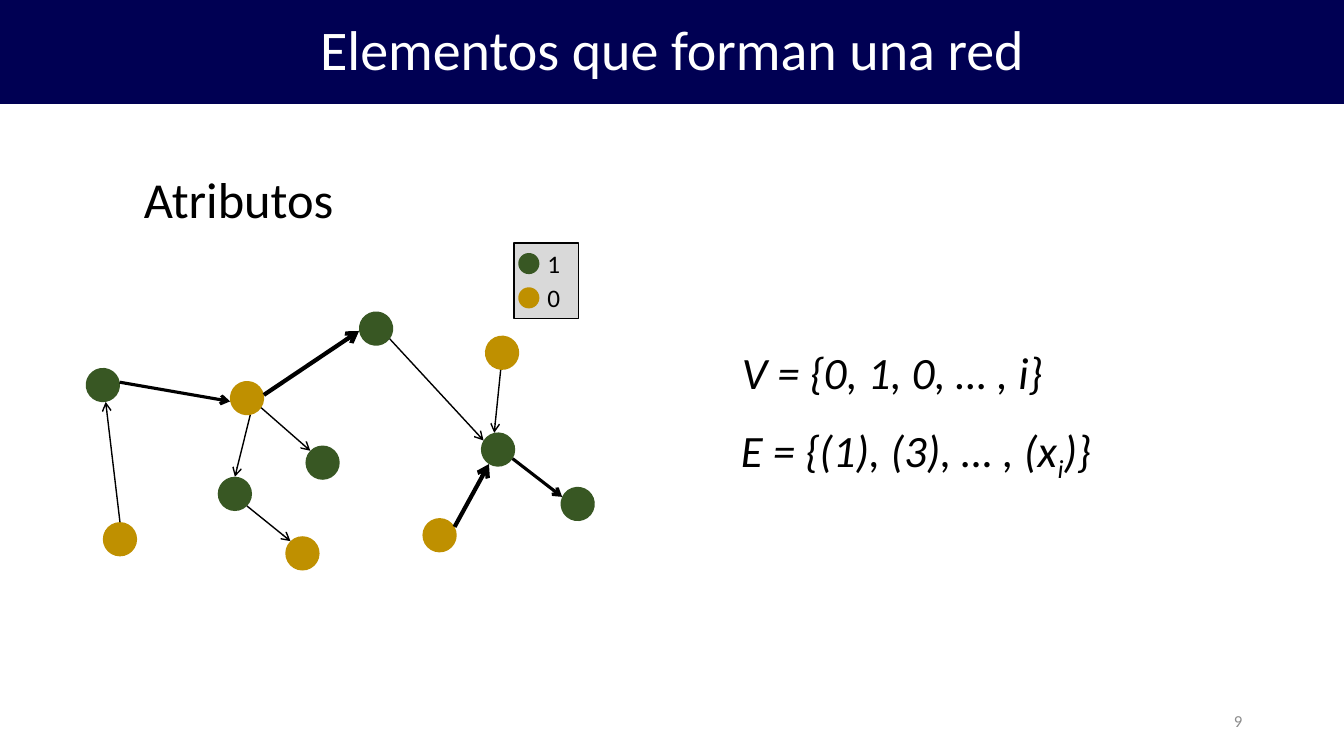
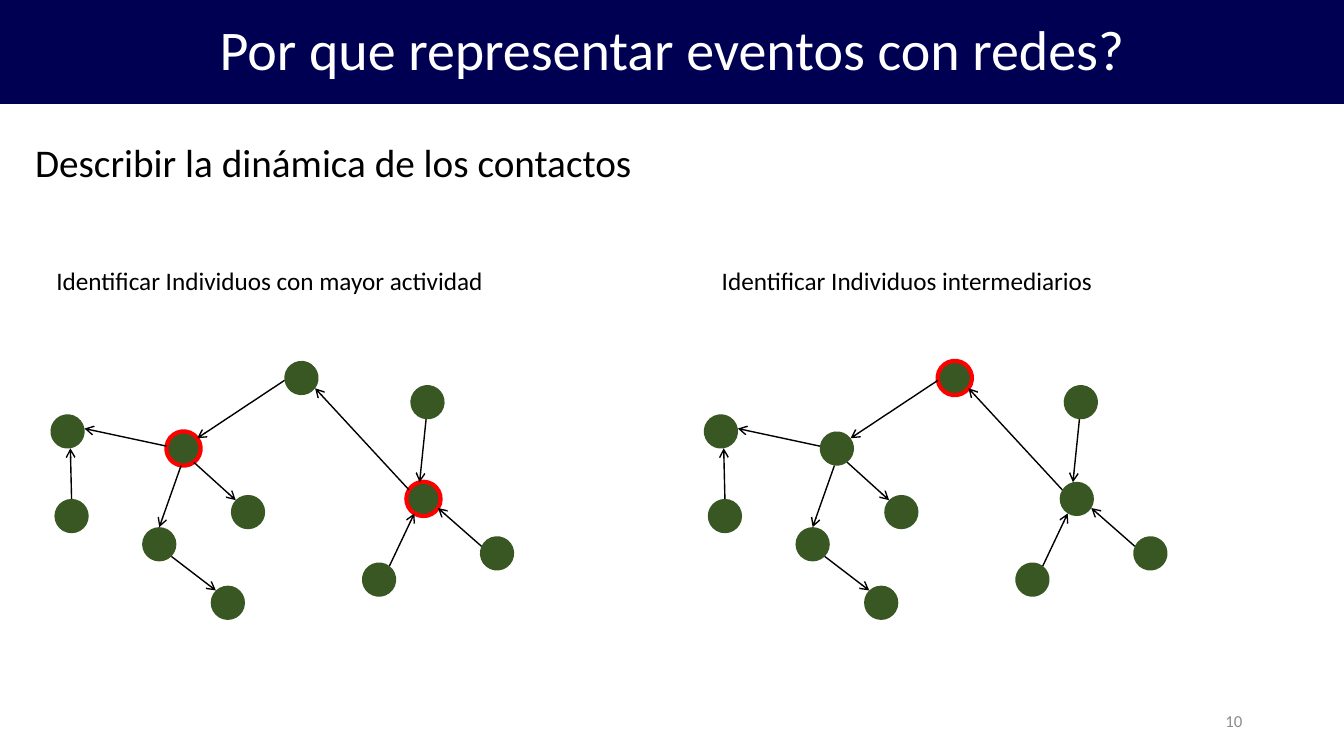
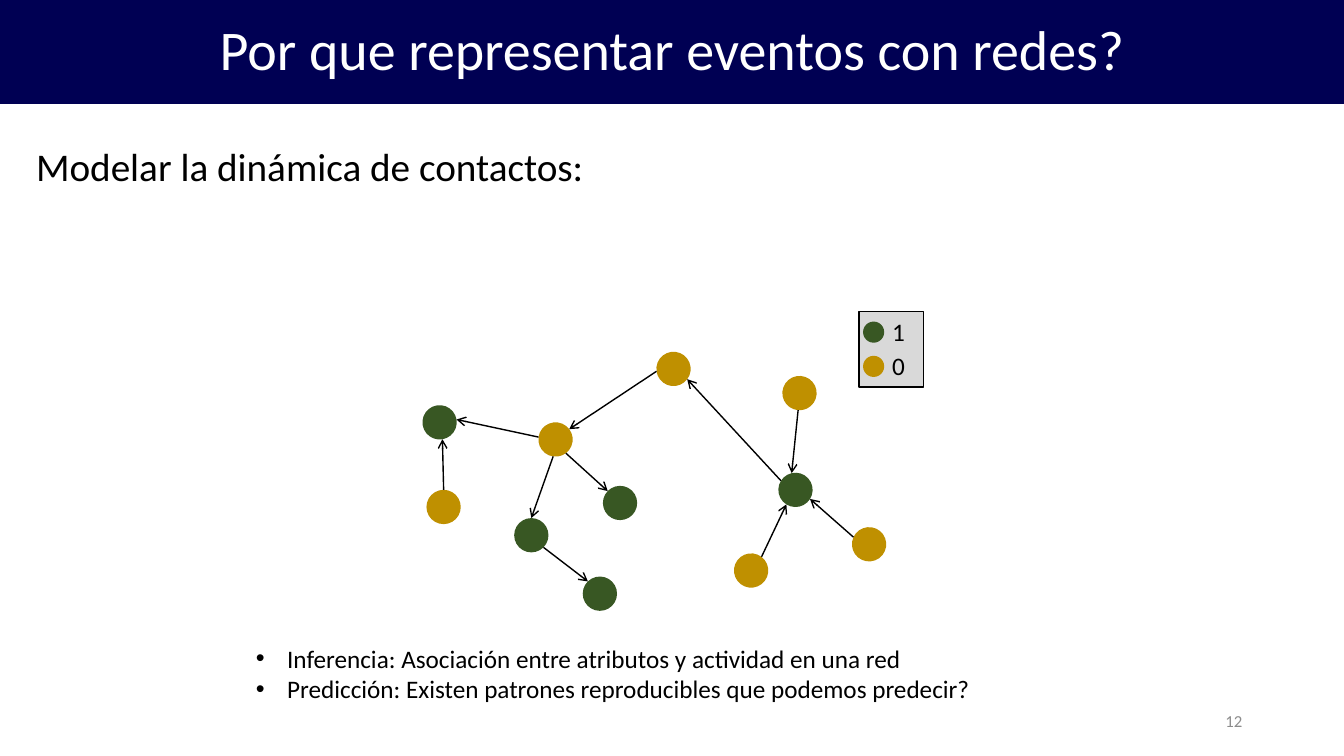
from math import cos, radians, sin

from lxml import etree
from pptx import Presentation
from pptx.dml.color import RGBColor
from pptx.enum.shapes import MSO_CONNECTOR, MSO_SHAPE
from pptx.enum.text import MSO_ANCHOR, MSO_AUTO_SIZE, PP_ALIGN
from pptx.oxml.ns import qn
from pptx.util import Inches, Pt

OVAL, RECT = MSO_SHAPE.OVAL, MSO_SHAPE.RECTANGLE
STRAIGHT = MSO_CONNECTOR.STRAIGHT
TOP, MIDDLE = MSO_ANCHOR.TOP, MSO_ANCHOR.MIDDLE
LEFT, CENTER, RIGHT = PP_ALIGN.LEFT, PP_ALIGN.CENTER, PP_ALIGN.RIGHT
NO_FIT = MSO_AUTO_SIZE.NONE

FONT = "Calibri"
COLORS = {
    "band": "000053", "white": "FFFFFF", "black": "000000", "number": "8C8C8C",
    "green": "385723", "gold": "BF9000", "ring": "FF0000", "legend": "D9D9D9",
}
NODE = 0.34
TITLE_ONLY = 5

# Node: left, top (inches from the network's corner), rotation
ATTRIBUTE_NODES = {
    "west": (0, 0.56, 350.5), "hub": (1.43, 0.69, 34.1),
    "low": (1.31, 1.64, 0), "lowest": (1.98, 2.23, 315.8),
    "mid": (2.18, 1.33, 314.1), "bridge": (2.71, 0, 262),
    "southwest": (0.17, 2.09, 0), "south": (3.34, 2.05, 330.8),
    "east_hub": (3.92, 1.2, 347.1), "north": (3.96, 0.24, 4.7),
    "east": (4.71, 1.74, 24.5),
}
CONTACT_NODES = {
    "west": (0, 0.53, 350.5), "hub": (1.15, 0.7, 53),
    "low": (0.91, 1.65, 0), "lowest": (1.59, 2.23, 315.8),
    "mid": (1.79, 1.33, 314.1), "bridge": (2.32, 0, 262),
    "southwest": (0.04, 1.37, 0), "south": (3.09, 2, 307.2),
    "east_hub": (3.53, 1.2, 347.1), "north": (3.57, 0.24, 4.7),
    "east": (4.26, 1.74, 24.5),
}
# Edge: source, its site, target, its site, line width.
# Sites are numbered 0 to 7, counterclockwise from the top of the oval.
SHARED_EDGES = [
    ("southwest", 0, "west", 4, 1), ("hub", 5, "low", 0, 1),
    ("hub", 6, "mid", 0, 1), ("low", 5, "lowest", 0, 1),
    ("north", 4, "east_hub", 0, 1),
]
ATTRIBUTE_EDGES = SHARED_EDGES + [
    ("west", 6, "hub", 3, 2.25), ("hub", 7, "bridge", 0, 3),
    ("bridge", 3, "east_hub", 1, 1), ("south", 6, "east_hub", 3, 3),
    ("east_hub", 5, "east", 2, 2.25),
]
CONTACT_EDGES = SHARED_EDGES + [
    ("hub", 3, "west", 6, 1), ("bridge", 0, "hub", 0, 1),
    ("east_hub", 1, "bridge", 3, 1), ("south", 6, "east_hub", 3, 1),
    ("east", 2, "east_hub", 5, 1),
]


def rgb(name):
    return RGBColor.from_string(COLORS[name])


def add_bullet(p):
    pPr = p._p.get_or_add_pPr()
    pPr.set("marL", str(Inches(0.31)))
    pPr.set("indent", str(-Inches(0.31)))
    etree.SubElement(pPr, qn("a:buFont")).set("typeface", "Arial")
    etree.SubElement(pPr, qn("a:buChar")).set("char", "•")


def write(tf, *paragraphs, size=18, color="black", italic=False, align=LEFT,
          anchor=TOP, wrap=False, bullet=False, spacing=None):
    """Fill a text frame; in a tuple of runs every second run is a subscript."""
    tf.word_wrap, tf.vertical_anchor, tf.auto_size = wrap, anchor, NO_FIT
    for i, runs in enumerate(paragraphs):
        p = tf.add_paragraph() if i else tf.paragraphs[0]
        p.alignment = align
        if spacing:
            p.line_spacing = spacing
        if bullet:
            add_bullet(p)
        for j, text in enumerate([runs] if isinstance(runs, str) else runs):
            r = p.add_run()
            r.text = text
            r.font.name, r.font.size, r.font.italic = FONT, Pt(size), italic
            r.font.color.rgb = rgb(color)
            if j % 2:
                r._r.get_or_add_rPr().set("baseline", "-25000")


def add_text(shapes, box, *paragraphs, **fmt):
    sp = shapes.add_textbox(*map(Inches, box))
    write(sp.text_frame, *paragraphs, **fmt)


def add_figure(shapes, kind, box, fill, line=None, width=1):
    sp = shapes.add_shape(kind, *map(Inches, box))
    sp.shadow.inherit = False
    sp.fill.solid()
    sp.fill.fore_color.rgb = rgb(fill)
    if line:
        sp.line.color.rgb = rgb(line)
        sp.line.width = Pt(width)
    else:
        sp.line.fill.background()
    return sp


def add_arrow(shapes, start, end, width):
    cxn = shapes.add_connector(STRAIGHT, *map(Inches, (*start, *end)))
    cxn.line.color.rgb = rgb("black")
    cxn.line.width = Pt(width)
    etree.SubElement(cxn.line._get_or_add_ln(), qn("a:tailEnd")).set("type", "arrow")
    etree.SubElement(cxn._element.spPr, qn("a:effectLst"))


def site_point(node, site):
    """Position of a connection site on a rotated node."""
    left, top, rotation = node
    angle = radians(rotation - 90 - 45 * site)
    radius = NODE / 2
    return left + radius * (1 + cos(angle)), top + radius * (1 + sin(angle))


def add_network(slide, x, y, nodes, edges, gold=(), ringed=()):
    placed = {name: (x + dx, y + dy, rot) for name, (dx, dy, rot) in nodes.items()}
    for name, (left, top, rotation) in placed.items():
        sp = add_figure(slide.shapes, OVAL, (left, top, NODE, NODE),
                        "gold" if name in gold else "green",
                        line="ring" if name in ringed else None, width=3)
        sp.rotation = rotation
    for source, source_site, target, target_site, width in edges:
        add_arrow(slide.shapes, site_point(placed[source], source_site),
                  site_point(placed[target], target_site), width)


def add_legend(slide, x, y):
    shapes = slide.shapes.add_group_shape().shapes
    add_figure(shapes, RECT, (x, y, 0.64, 0.75), "legend", line="black")
    for i, (label, color) in enumerate([("1", "green"), ("0", "gold")]):
        row = y + 0.34 * i
        add_figure(shapes, OVAL, (x + 0.04, row + 0.1, 0.21, 0.21), color)
        add_text(shapes, (x + 0.23, row, 0.33, 0.4), label)


def add_slide(prs, title, number):
    slide = prs.slides.add_slide(prs.slide_layouts[TITLE_ONLY])
    band = slide.shapes.title
    band.left, band.top = 0, 0
    band.width, band.height = prs.slide_width, Inches(1.03)
    band.fill.solid()
    band.fill.fore_color.rgb = rgb("band")
    write(band.text_frame, title, size=40, color="white", align=CENTER,
          anchor=MIDDLE, wrap=True, spacing=0.9)
    add_text(slide.shapes, (9.42, 6.95, 3, 0.4), str(number), size=12,
             color="number", align=RIGHT, anchor=MIDDLE, wrap=True)
    return slide


def attributes_slide(prs):
    slide = add_slide(prs, "Elementos que forman una red", 9)
    add_text(slide.shapes, (1.33, 1.62, 2.1, 0.71), "Atributos", size=36)
    add_network(slide, 0.85, 3.09, ATTRIBUTE_NODES, ATTRIBUTE_EDGES,
                gold=("hub", "lowest", "southwest", "south", "north"))
    add_legend(slide, 5.1, 2.41)
    add_text(slide.shapes, (7.26, 3.37, 3.22, 0.64), "V = {0, 1, 0, … , i}",
             size=32, italic=True)
    add_text(slide.shapes, (7.25, 4.14, 3.76, 0.64),
             ("E = {(1), (3), … , (x", "i", ")}"), size=32, italic=True)


def describe_slide(prs):
    slide = add_slide(prs, "Por que representar eventos con redes?", 10)
    add_text(slide.shapes, (0.25, 1.32, 6.18, 0.57),
             "Describir la dinámica de los contactos", size=28)
    add_text(slide.shapes, (0.46, 2.58, 4.48, 0.4),
             "Identificar Individuos con mayor actividad")
    add_text(slide.shapes, (7.06, 2.58, 3.92, 0.4),
             "Identificar Individuos intermediarios")
    for x, ringed in [(0.5, ("hub", "east_hub")), (6.98, ("bridge",))]:
        add_network(slide, x, 3.58, CONTACT_NODES, CONTACT_EDGES, ringed=ringed)


def model_slide(prs):
    slide = add_slide(prs, "Por que representar eventos con redes?", 12)
    add_text(slide.shapes, (0.26, 1.36, 5.69, 0.57),
             "Modelar la dinámica de contactos:", size=28)
    add_network(slide, 4.19, 3.49, CONTACT_NODES, CONTACT_EDGES,
                gold=("hub", "bridge", "southwest", "south", "north", "east"))
    add_legend(slide, 8.52, 3.09)
    add_text(slide.shapes, (2.44, 6.33, 7.5, 0.71),
             "Inferencia: Asociación entre atributos y actividad en una red",
             "Predicción: Existen patrones reproducibles que podemos predecir?",
             bullet=True)


def main():
    prs = Presentation()
    prs.slide_width, prs.slide_height = Inches(13.33), Inches(7.5)
    attributes_slide(prs)
    describe_slide(prs)
    model_slide(prs)
    prs.save("out.pptx")


if __name__ == "__main__":
    main()
